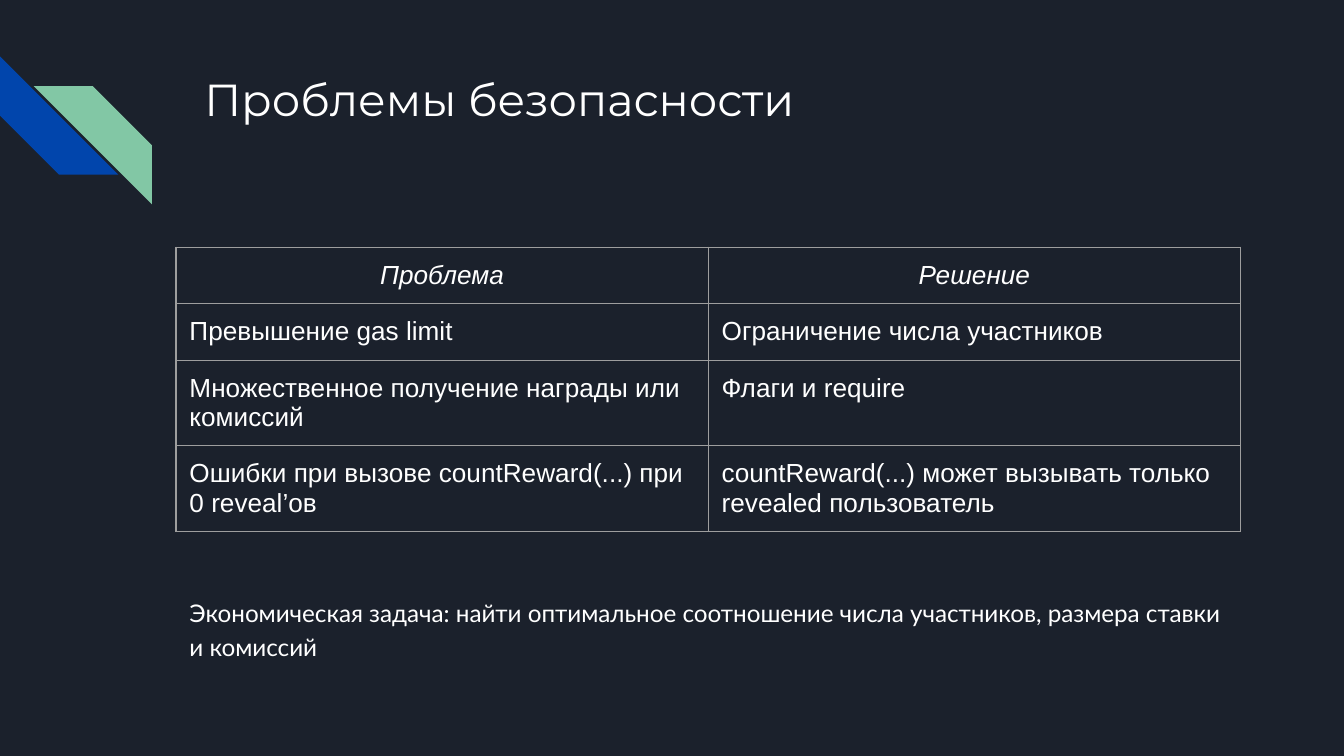
"""Build a dark slide listing security problems, their solutions and one open task."""
from lxml import etree
from pptx import Presentation, util as u
from pptx.dml import color
from pptx.enum import shapes, text
from pptx.oxml import ns


def paint(target, value):
    target.solid()
    target.fore_color.rgb = color.RGBColor.from_string(value)


def write(holder, para, words, font, size, align=text.PP_ALIGN.LEFT, italic=False):
    holder.vertical_anchor = text.MSO_ANCHOR.TOP
    holder.margin_left = holder.margin_right = u.Inches(0.1)
    holder.margin_top = holder.margin_bottom = u.Inches(0.1)
    para.alignment = align
    para.space_before = u.Pt(0)
    span = para.add_run()
    span.text = words
    span.font.name, span.font.size, span.font.italic = font, u.Pt(size), italic
    paint(span.font.fill, "FFFFFF")


deck = Presentation()
deck.slide_width = u.Inches(10)
deck.slide_height = deck.slide_width * 9 // 16
page = deck.slides.add_slide(deck.slide_layouts[1])
paint(page.background.fill, "1B212C")

stripe_size = u.Inches(0.88)
for left, top, turn, fill in [(0, 0.42, 270, "0145AC"), (0.25, 0.64, 90, "82C7A5")]:
    stripe = page.shapes.add_shape(shapes.MSO_SHAPE.DIAGONAL_STRIPE, u.Inches(left),
                                   u.Inches(top), stripe_size, stripe_size)
    stripe.rotation = turn
    stripe.shadow.inherit = False
    stripe.line.fill.background()
    paint(stripe.fill, fill)

title, body = page.placeholders
task = ("Экономическая задача: найти оптимальное соотношение числа участников, "
        "размера ставки и комиссий")
for box, bounds, words, font, size in [
    (title, (1.42, 0.43, 7.7, 1), "Проблемы безопасности", "Montserrat", 24),
    (body, (1.31, 4.32, 7.92, 0.75), task, "Lato", 13),
]:
    box.left, box.top, box.width, box.height = map(u.Inches, bounds)
    frame = box.text_frame
    frame.word_wrap = True
    frame.auto_size = text.MSO_AUTO_SIZE.NONE
    write(frame, frame.paragraphs[0], words, font, size)

para = body.text_frame.paragraphs[0]
para.line_spacing, para.space_after = 1.15, u.Pt(12)
settings = para._p.get_or_add_pPr()
settings.set("marL", "0")
settings.set("indent", "0")
etree.SubElement(settings, ns.qn("a:buNone"))

rows = [
    ("Проблема", "Решение"),
    ("Превышение gas limit", "Ограничение числа участников"),
    ("Множественное получение награды или комиссий", "Флаги и require"),
    ("Ошибки при вызове countReward(...) при 0 reveal’ов",
     "countReward(...) может вызывать только revealed пользователь"),
]
row_heights = [0.42, 0.42, 0.63, 0.63]
table = page.shapes.add_table(len(rows), 2, body.left, u.Inches(1.84), body.width,
                              u.Inches(sum(row_heights))).table
table.horz_banding = table.first_row = False
for column in table.columns:
    column.width = body.width // 2

for row_index, row in enumerate(rows):
    table.rows[row_index].height = u.Inches(row_heights[row_index])
    heading = row_index == 0
    align = text.PP_ALIGN.CENTER if heading else text.PP_ALIGN.LEFT
    for column_index, words in enumerate(row):
        cell = table.cell(row_index, column_index)
        write(cell, cell.text_frame.paragraphs[0], words, "Arial", 14, align, heading)
        cell_settings = cell._tc.get_or_add_tcPr()
        for side in ("lnL", "lnR", "lnT", "lnB"):
            border = etree.SubElement(cell_settings, ns.qn(f"a:{side}"), w=str(u.Pt(0.75)))
            border_fill = etree.SubElement(border, ns.qn("a:solidFill"))
            etree.SubElement(border_fill, ns.qn("a:srgbClr"), val="9E9E9E")
        cell.fill.background()

deck.save("out.pptx")
